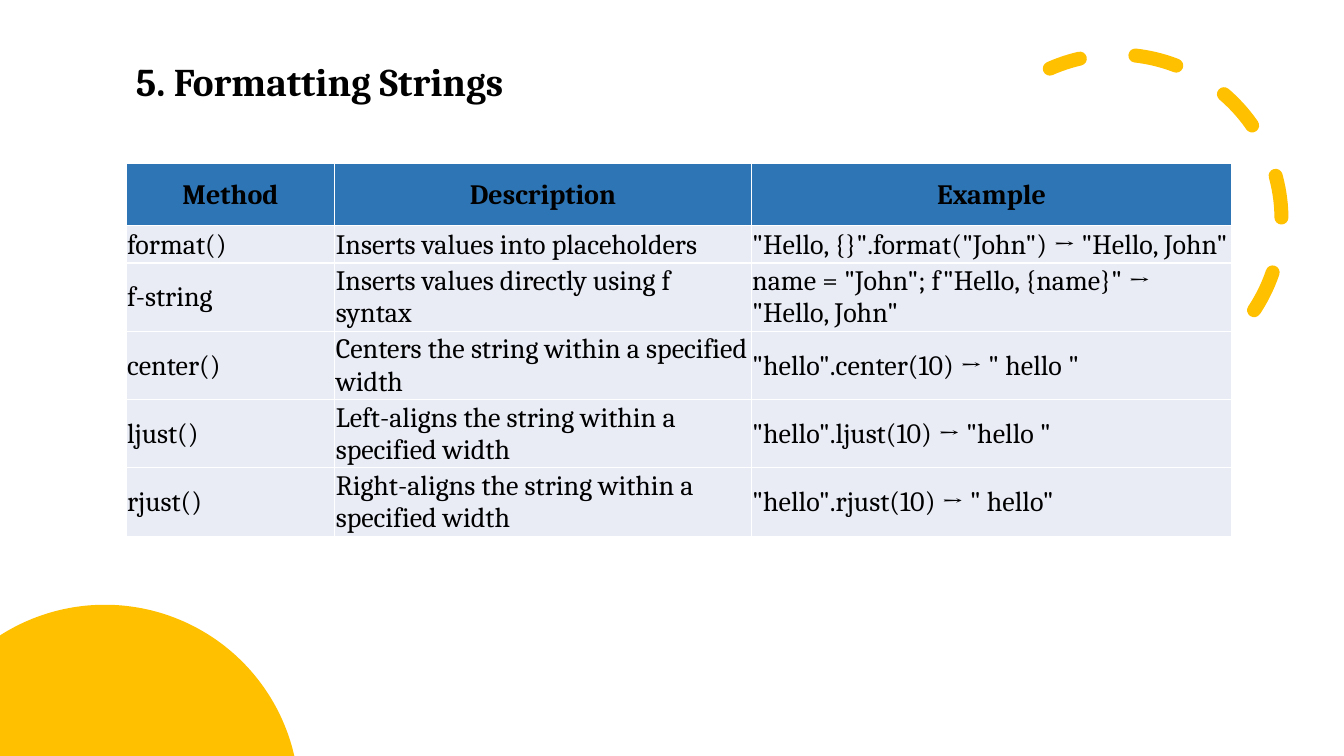
import math

from pptx import Presentation
from pptx import util as u
from pptx.dml.color import RGBColor
from pptx.enum import dml, shapes, text
from pptx.oxml import parse_xml
from pptx.oxml.ns import nsdecls

WIDTH, HEIGHT = u.Inches(13.33), u.Inches(7.5)
FONT = "Cambria"
BLACK = RGBColor(0x00, 0x00, 0x00)
WHITE = RGBColor(0xFF, 0xFF, 0xFF)
AMBER = RGBColor(0xFF, 0xC0, 0x00)
BLUE = RGBColor(0x2E, 0x75, 0xB6)
PALE_BLUE = RGBColor(0xE9, 0xEB, 0xF5)

LEFT_MARGIN = 9.38  # percent of the slide width, shared by title and table
COLUMN_SHARES = [15.53, 30.98, 35.78]
HEADER_SHARE, ROW_SHARE = 8.27, 4.93
CELL_FORMAT = {
    "vertical_anchor": text.MSO_ANCHOR.MIDDLE,
    "margin_left": u.Inches(0.01),
    "margin_right": u.Inches(0.01),
    "margin_top": u.Inches(0.01),
    "margin_bottom": 0,
}
METHODS = [
    ("Method", "Description", "Example"),
    ("format()", "Inserts values into placeholders",
     '"Hello, {}".format("John") → "Hello, John"'),
    ("f-string", "Inserts values directly using f syntax",
     'name = "John"; f"Hello, {name}" → "Hello, John"'),
    ("center()", "Centers the string within a specified width",
     '"hello".center(10) → " hello "'),
    ("ljust()", "Left-aligns the string within a specified width",
     '"hello".ljust(10) → "hello "'),
    ("rjust()", "Right-aligns the string within a specified width",
     '"hello".rjust(10) → " hello"'),
]


def across(percent):
    return round(WIDTH * percent / 100)


def down(percent):
    return round(HEIGHT * percent / 100)


def set_format(target, values):
    for name, value in values.items():
        setattr(target, name, value)


def write(paragraph, words, size, bold):
    run = paragraph.add_run()
    run.text = words
    set_format(run.font, {"name": FONT, "size": u.Pt(size), "bold": bold})
    run.font.color.rgb = BLACK


def add_dashed_arc(slide):
    side = across(24.53)
    shape = slide.shapes.add_shape(
        shapes.MSO_SHAPE.ARC, across(70.82), down(7.2), side, side)
    shape.adjustments[0] = 86.65
    shape.adjustments[1] = 0
    shape.rotation = 66.1
    shape.shadow.inherit = False
    shape.fill.background()
    shape.line.color.rgb = AMBER
    set_format(shape.line, {"width": u.Pt(10),
                            "dash_style": dml.MSO_LINE.DASH})
    # Mirror the arc and round the ends of its dashes
    properties = shape._element.spPr
    properties.xfrm.set("flipH", "1")
    properties.ln.set("cap", "rnd")


def add_corner_disc(slide):
    """Draw the part of a disc that shows in the bottom left corner."""
    center_x, radius = across(7.8), across(14.46)
    center_y = down(80) + radius
    start = math.acos(-center_x / radius)
    end = math.asin((center_y - HEIGHT) / radius)
    steps = 90
    angles = [start + (end - start) * step / steps for step in range(steps + 1)]
    rim = [(round(center_x + radius * math.cos(angle)),
            round(center_y - radius * math.sin(angle))) for angle in angles]
    builder = slide.shapes.build_freeform(0, HEIGHT)
    builder.add_line_segments(rim, close=True)
    shape = builder.convert_to_shape()
    shape.shadow.inherit = False
    shape.fill.solid()
    shape.fill.fore_color.rgb = AMBER
    shape.line.fill.background()


def add_title(slide, words):
    box = slide.shapes.add_textbox(
        across(LEFT_MARGIN), down(6.93), across(34.5), down(7.6))
    box.text_frame.word_wrap = True
    write(box.text_frame.paragraphs[0], words, 28, True)


def add_borders(cell, color):
    properties = cell._tc.get_or_add_tcPr()
    for side in ("lnL", "lnR", "lnT", "lnB"):
        properties.append(parse_xml(
            f'<a:{side} {nsdecls("a")} w="{u.Pt(1)}"><a:solidFill>'
            f'<a:srgbClr val="{color}"/></a:solidFill></a:{side}>'))


def fill_cell(cell, words, is_header):
    set_format(cell, CELL_FORMAT)
    add_borders(cell, WHITE)
    cell.fill.solid()
    cell.fill.fore_color.rgb = BLUE if is_header else PALE_BLUE
    paragraph = cell.text_frame.paragraphs[0]
    paragraph.alignment = (
        text.PP_ALIGN.CENTER if is_header else text.PP_ALIGN.LEFT)
    write(paragraph, words, 20, is_header)


def add_method_table(slide, rows):
    row_shares = [HEADER_SHARE] + [ROW_SHARE] * (len(rows) - 1)
    table = slide.shapes.add_table(
        len(rows), len(COLUMN_SHARES), across(LEFT_MARGIN), down(21.6),
        across(sum(COLUMN_SHARES)), down(sum(row_shares))).table
    for column, share in zip(table.columns, COLUMN_SHARES):
        column.width = across(share)
    for index, (row, share) in enumerate(zip(table.rows, row_shares)):
        row.height = down(share)
        for cell, words in zip(row.cells, rows[index]):
            fill_cell(cell, words, index == 0)


def main():
    presentation = Presentation()
    set_format(presentation, {"slide_width": WIDTH, "slide_height": HEIGHT})
    slide = presentation.slides.add_slide(presentation.slide_layouts[6])
    slide.background.fill.solid()
    slide.background.fill.fore_color.rgb = WHITE

    # Decoration
    add_dashed_arc(slide)
    add_corner_disc(slide)

    # Content
    add_title(slide, "5. Formatting Strings")
    add_method_table(slide, METHODS)

    presentation.save("out.pptx")


if __name__ == "__main__":
    main()
